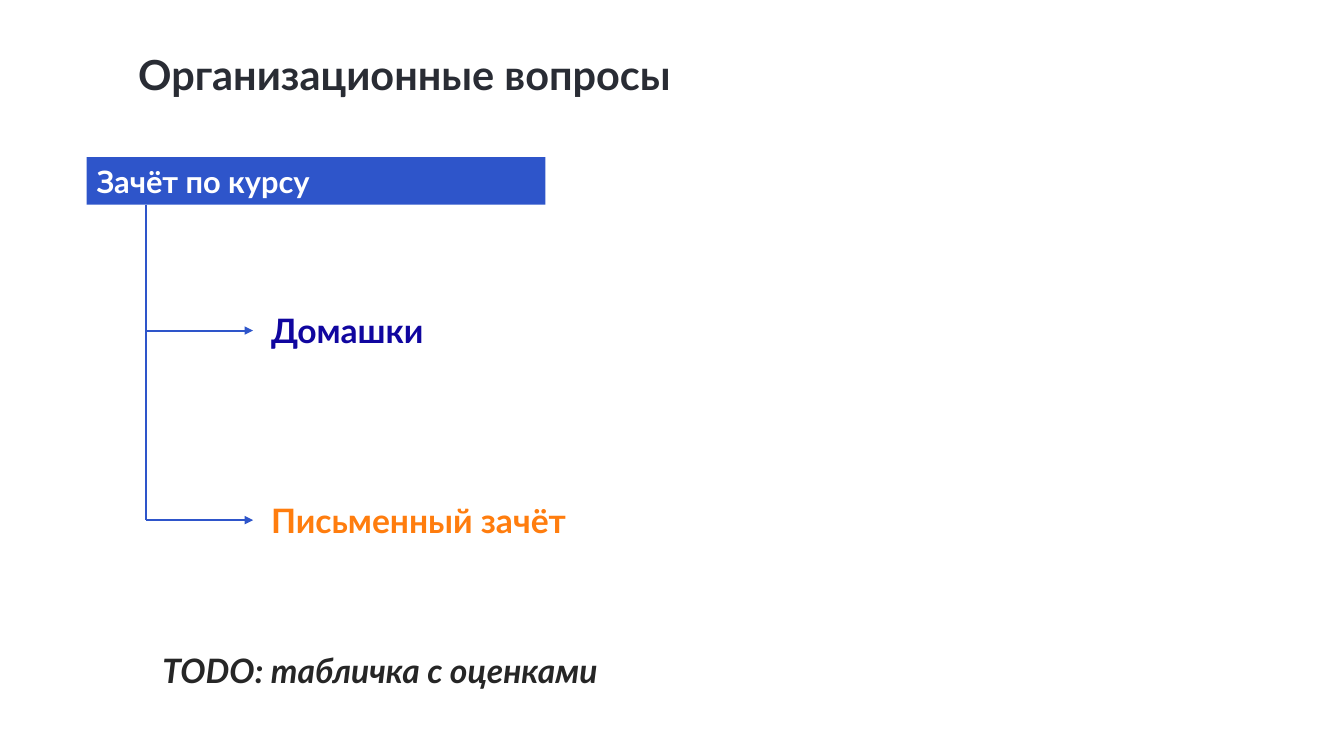
import dataclasses

import pptx
import pptx.dml.color
import pptx.enum.shapes
import pptx.enum.text
import pptx.oxml.ns
import pptx.util
from lxml import etree

ANCHOR = pptx.enum.text.MSO_ANCHOR


@dataclasses.dataclass(frozen=True)
class Theme:
    font: str = "Lato"
    blue: str = "2E55CA"
    navy: str = "10069F"
    orange: str = "FF7D0E"
    white: str = "FFFFFF"
    title_ink: str = "292C34"
    note_ink: str = "262626"
    title_size: float = 29.6
    banner_size: float = 22
    item_size: float = 24
    line_width: float = 1.5


THEME = Theme()
WIDTH, HEIGHT = pptx.util.Inches(13.33), pptx.util.Inches(7.5)

# Lengths below are columns and rows of a 100 by 100 grid over the slide.
BANNER_LEFT, BANNER_TOP, BANNER_WIDTH, BANNER_HEIGHT = 6.45, 20.8, 34.13, 6.27
TRUNK_COL, ARROW_END_COL, ITEM_COL = 10.88, 18.83, 19.43
ITEM_HEIGHT = 6.67
ITEMS = [
    ("Домашки", THEME.navy, 43.73, 59.2),
    ("Письменный зачёт", THEME.orange, 68.8, 29.4),
]


def col(n):
    return round(WIDTH * n / 100)


def row(n):
    return round(HEIGHT * n / 100)


def box(left, top, width, height):
    return col(left), row(top), col(width), row(height)


def rgb(value):
    return pptx.dml.color.RGBColor.from_string(value)


def write(s, text, *, size, color, bold=True, italic=False,
          anchor=ANCHOR.TOP, inset=0.1):
    tf = s.text_frame
    tf.word_wrap = True
    tf.auto_size = pptx.enum.text.MSO_AUTO_SIZE.NONE
    tf.vertical_anchor = anchor
    tf.margin_left = tf.margin_right = pptx.util.Inches(inset)
    tf.margin_top = tf.margin_bottom = pptx.util.Inches(0.05)
    p = tf.paragraphs[0]
    p.alignment = pptx.enum.text.PP_ALIGN.LEFT
    p.line_spacing = 1.0
    p.space_before = pptx.util.Pt(0)
    r = p.add_run()
    r.text = text
    r.font.name = THEME.font
    r.font.size = pptx.util.Pt(size)
    r.font.bold = bold
    r.font.italic = italic
    r.font.color.rgb = rgb(color)


def add_title(slide, text):
    s = slide.shapes.title
    s.left, s.top, s.width, s.height = box(9.9, 5.87, 86.87, 9.73)
    write(s, text, size=THEME.title_size, color=THEME.title_ink, inset=0.05)


def add_label(slide, text, bounds, **style):
    s = slide.shapes.add_textbox(*box(*bounds))
    write(s, text, **style)


def add_banner(slide, text):
    s = slide.shapes.add_shape(
        pptx.enum.shapes.MSO_SHAPE.RECTANGLE,
        *box(BANNER_LEFT, BANNER_TOP, BANNER_WIDTH, BANNER_HEIGHT))
    s.shadow.inherit = False
    s.fill.solid()
    s.fill.fore_color.rgb = rgb(THEME.blue)
    s.line.fill.background()
    write(s, text, size=THEME.banner_size, color=THEME.white,
          anchor=ANCHOR.MIDDLE)


def add_line(slide, start, end, arrow=False):
    s = slide.shapes.add_connector(
        pptx.enum.shapes.MSO_CONNECTOR.STRAIGHT,
        col(start[0]), row(start[1]), col(end[0]), row(end[1]))
    s.line.color.rgb = rgb(THEME.blue)
    s.line.width = pptx.util.Pt(THEME.line_width)
    qn = pptx.oxml.ns.qn
    if arrow:
        etree.SubElement(s.line._get_or_add_ln(), qn("a:tailEnd"),
                         type="triangle")
    etree.SubElement(s._element.spPr, qn("a:effectLst"))


def add_branches(slide):
    """Draw the trunk under the banner and one arrow with a label per item."""
    add_line(slide, (TRUNK_COL, BANNER_TOP + BANNER_HEIGHT),
             (TRUNK_COL, ITEMS[-1][2]))
    for text, color, middle, width in ITEMS:
        add_line(slide, (TRUNK_COL, middle), (ARROW_END_COL, middle),
                 arrow=True)
        add_label(slide, text,
                  (ITEM_COL, middle - ITEM_HEIGHT / 2, width, ITEM_HEIGHT),
                  size=THEME.item_size, color=color)


def main():
    prs = pptx.Presentation()
    prs.slide_width, prs.slide_height = WIDTH, HEIGHT
    slide = prs.slides.add_slide(prs.slide_layouts.get_by_name("Title Only"))
    add_title(slide, "Организационные вопросы")
    add_banner(slide, "Зачёт по курсу")
    add_branches(slide)
    add_label(slide, "TODO: табличка с оценками",
              (TRUNK_COL, 85.33, 42.84, 12.13), size=THEME.item_size,
              color=THEME.note_ink, italic=True, inset=0.16)
    prs.save("out.pptx")


if __name__ == "__main__":
    main()
